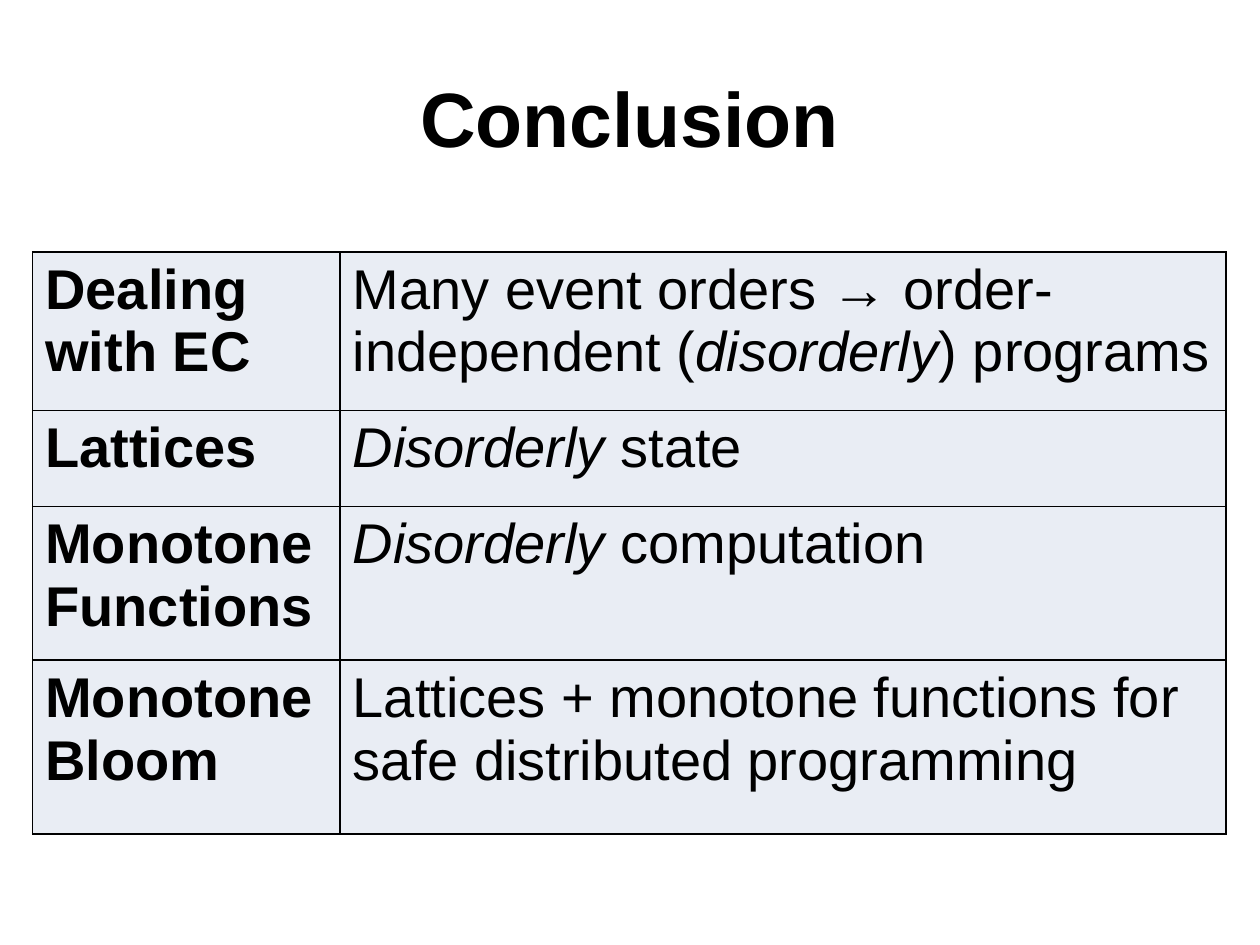
from lxml import etree
from pptx import Presentation
from pptx.dml.color import RGBColor
from pptx.enum.text import MSO_ANCHOR, PP_ALIGN
from pptx.oxml.ns import qn
from pptx.util import Inches, Pt

CENTER = PP_ALIGN.CENTER
TOP = MSO_ANCHOR.TOP
MIDDLE = MSO_ANCHOR.MIDDLE
BLACK = RGBColor(0, 0, 0)
PALE = RGBColor(0xE9, 0xED, 0xF4)
FACE = "Arial"
COLS = [2.44, 7.03]
ROWS = [1.26, 0.76, 1.22, 1.38]
POINTS = [
    ("Dealing with EC", [("Many event orders → order-independent (", False),
                         ("disorderly", True), (") programs", False)]),
    ("Lattices", [("Disorderly", True), (" state", False)]),
    ("Monotone Functions", [("Disorderly", True), (" computation", False)]),
    ("Monotone Bloom", [("Lattices + monotone functions for safe "
                         "distributed programming", False)]),
]


def style(para, size, bold):
    """Set the font of a paragraph."""
    font = para.font
    font.name, font.size, font.bold = FACE, Pt(size), bold
    font.color.rgb = BLACK


def border(cell):
    """Draw a thin black line on each side of a cell."""
    props = cell._tc.get_or_add_tcPr()
    for spot, side in enumerate(("a:lnL", "a:lnR", "a:lnT", "a:lnB")):
        line = etree.Element(qn(side), w=str(Pt(1)))
        fill = etree.SubElement(line, qn("a:solidFill"))
        etree.SubElement(fill, qn("a:srgbClr"), val=str(BLACK))
        props.insert(spot, line)


def fill_cell(cell, runs, bold):
    """Write runs of (text, italic) into a bordered, filled cell."""
    cell.fill.solid()
    cell.fill.fore_color.rgb = PALE
    cell.vertical_anchor = TOP
    border(cell)
    para = cell.text_frame.paragraphs[0]
    style(para, 32, bold)
    for text, slant in runs:
        run = para.add_run()
        run.text = text
        if slant:
            run.font.italic = True


def add_title(slide, text, left, top, width, height):
    """Place and format the title."""
    title = slide.shapes.title
    title.left, title.top = Inches(left), Inches(top)
    title.width, title.height = Inches(width), Inches(height)
    title.text_frame.text = text
    title.text_frame.vertical_anchor = MIDDLE
    para = title.text_frame.paragraphs[0]
    para.alignment = CENTER
    style(para, 44, True)


def add_points(slide, left, top, width, height):
    """Add the table of topics and conclusions."""
    table = slide.shapes.add_table(
        len(ROWS), len(COLS), Inches(left), Inches(top),
        Inches(width), Inches(height)).table
    table.first_row = table.horz_banding = False
    for col, size in zip(table.columns, COLS):
        col.width = Inches(size)
    for row, size, (topic, runs) in zip(table.rows, ROWS, POINTS):
        row.height = Inches(size)
        fill_cell(row.cells[0], [(topic, False)], True)
        fill_cell(row.cells[1], runs, False)


def main():
    """Build and save the slide."""
    deck = Presentation()
    deck.slide_width, deck.slide_height = Inches(10), Inches(7.5)
    slide = deck.slides.add_slide(deck.slide_layouts[5])
    add_title(slide, "Conclusion", 0.5, 0.3, 9, 1.25)
    add_points(slide, 0.26, 2, sum(COLS), sum(ROWS))
    deck.save("out.pptx")


if __name__ == "__main__":
    main()
